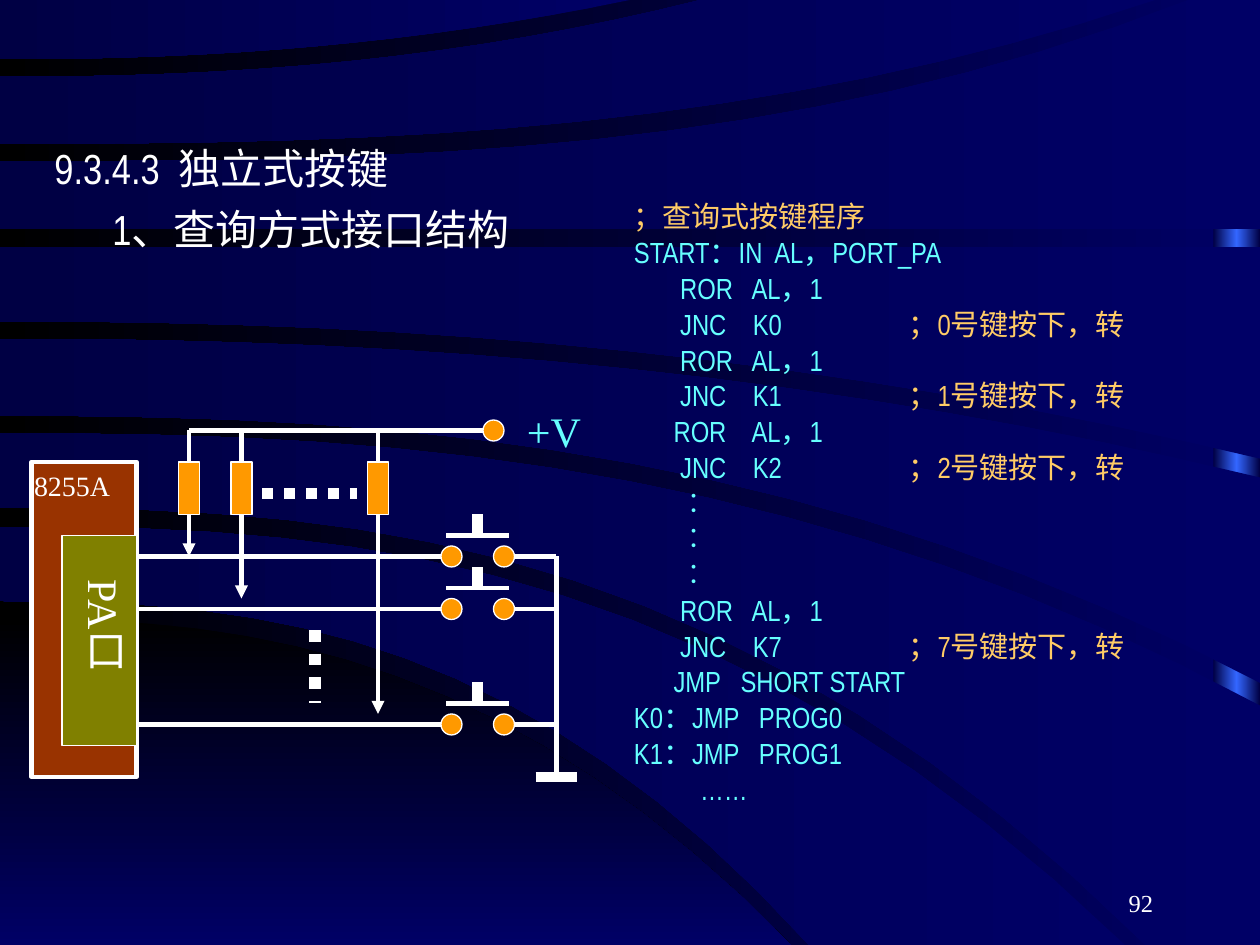
import copy
import dataclasses

import lxml.etree
import pptx
import pptx.dml.color
import pptx.enum.dml
import pptx.enum.shapes
import pptx.enum.text
import pptx.oxml.ns
import pptx.util

COLORS = {
    "navy": "000066", "deep": "000044", "black": "000000", "blue": "3366FF",
    "white": "FFFFFF", "orange": "FF9900", "brick": "993300",
    "olive": "808000", "gold": "FFCC66", "aqua": "66FFFF",
}
SHAPE = pptx.enum.shapes.MSO_SHAPE
ALIGN = pptx.enum.text.PP_ALIGN
ANCHOR = pptx.enum.text.MSO_ANCHOR
NARROW, SERIF = "Arial Narrow", "Times New Roman"
STEPS = 16

COMMENT = "；{}号键按下，转"
ROTATE = ("       ROR   AL，1", "")
PROGRAM = [
    ("", "；查询式按键程序"), ("START：IN  AL，PORT_PA", ""),
    ROTATE, ("       JNC    K0", COMMENT.format(0)),
    ROTATE, ("       JNC    K1", COMMENT.format(1)),
    ("      ROR    AL，1", ""), ("       JNC    K2", COMMENT.format(2)),
    *[("       ︰", "")] * 3,
    ROTATE, ("       JNC    K7", COMMENT.format(7)),
    ("      JMP   SHORT START", ""), ("K0：JMP   PROG0", ""),
    ("K1：JMP   PROG1", ""), ("          ……", ""),
]


@dataclasses.dataclass
class Edge:
    start: float
    reach: float
    end: float
    power: float = 1

    def points(self):
        shares = [step / STEPS for step in range(STEPS + 1)]
        return [(self.reach * share, self.start + (self.end - self.start) * share ** self.power)
                for share in shares]


POOL = (Edge(49.1, 62.8, 75, 2.5), Edge(75, 62.8, 75))
BANDS = [
    (Edge(41.8, 89.3, 75, 2.6), Edge(47.7, 64.2, 75, 2.6)),
    (Edge(34.4, 100, 56, 2.5), Edge(40.3, 90.9, 75, 2.6)),
    (Edge(26.9, 100, 37.9, 2.2), Edge(33, 100, 54.2, 2.5)),
    (Edge(19.6, 100, 19.6), Edge(25.5, 100, 36.4, 2.2)),
    (Edge(12.8, 94.3, 0, 2.9), Edge(18.2, 100, 18.2)),
    (Edge(6.1, 55.6, 0, 2.3), Edge(11.4, 91.7, 0, 2.7)),
    (Edge(0, 50, 0), Edge(4.7, 50, 0, 2.2)),
]


@dataclasses.dataclass
class Grid:
    left: float
    top: float
    column: float
    row: float

    def point(self, column, row):
        return round(self.left + column * self.column), round(self.top + row * self.row)

    def cell(self, column, row, width, height):
        return *self.point(column, row), round(width * self.column), round(height * self.row)

    def divide(self, cell, columns, rows):
        left, top, width, height = self.cell(*cell)
        return Grid(left, top, width / columns, height / rows)


def rgb(name):
    return pptx.dml.color.RGBColor.from_string(COLORS[name])


def shade(fill, first, last, angle):
    fill.gradient()
    fill.gradient_angle = angle
    for stop, name, position in zip(fill.gradient_stops, (first, last), (0, 1)):
        stop.color.rgb = rgb(name)
        stop.position = position


def add_block(page, place, color, kind=SHAPE.RECTANGLE, weight=0.75):
    block = page.shapes.add_shape(kind, *place)
    block.shadow.inherit = False
    block.fill.solid()
    block.fill.fore_color.rgb = rgb(color)
    block.line.color.rgb = rgb("white")
    block.line.width = pptx.util.Pt(weight)
    return block


def add_wire(page, grid, start, end, weight=2.5, dotted=False, arrow=False):
    wire = page.shapes.add_connector(pptx.enum.shapes.MSO_CONNECTOR.STRAIGHT,
                                     *grid.point(*start), *grid.point(*end))
    wire.line.color.rgb = rgb("white")
    wire.line.width = pptx.util.Pt(weight)
    if dotted:
        wire.line.dash_style = pptx.enum.dml.MSO_LINE.ROUND_DOT
    if arrow:
        outline = wire._element.spPr.find(pptx.oxml.ns.qn("a:ln"))
        lxml.etree.SubElement(outline, pptx.oxml.ns.qn("a:tailEnd"), type="triangle")
    lxml.etree.SubElement(wire._element.spPr, pptx.oxml.ns.qn("a:effectLst"))
    return wire


def add_span(para, text, size, font, color):
    span = para.add_run()
    span.text = text
    span.font.size = pptx.util.Pt(size)
    span.font.name = font
    span.font.color.rgb = rgb(color)


def set_frame(shape, insets=(0.1, 0.05, 0.1, 0.05), anchor=ANCHOR.TOP):
    frame = shape.text_frame
    frame.word_wrap = True
    frame.vertical_anchor = anchor
    sides = [pptx.util.Inches(inset) for inset in insets]
    frame.margin_left, frame.margin_top, frame.margin_right, frame.margin_bottom = sides
    frame.paragraphs[0].alignment = ALIGN.LEFT
    return frame


def indent(para, inches):
    para._p.get_or_add_pPr().set("marL", str(pptx.util.Inches(inches)))


def draw_band(page, grid, upper, lower):
    outline = upper.points()
    if upper.reach != lower.reach and upper.end != lower.end:
        outline.append((100, upper.end if upper.reach < lower.reach else lower.end))
    outline += reversed(lower.points())
    points = [grid.point(*point) for point in outline]
    builder = page.shapes.build_freeform(*points[0])
    builder.add_line_segments(points[1:], close=True)
    band = builder.convert_to_shape()
    band.shadow.inherit = False
    band.line.fill.background()
    return band


def draw_backdrop(page, grid):
    shade(page.background.fill, "navy", "black", 180)
    strip = add_block(page, grid.cell(96.3, 0, 3.7, 75), "deep")
    strip.line.fill.background()
    shade(strip.fill, "deep", "deep", 180)
    stops = strip._element.spPr.find(".//" + pptx.oxml.ns.qn("a:gsLst"))
    stops.insert(1, copy.deepcopy(stops[0]))
    middle = strip.fill.gradient_stops[1]
    middle.position = 0.5
    middle.color.rgb = rgb("blue")
    shade(draw_band(page, grid, *POOL).fill, "black", "navy", 270)
    for edges in BANDS:
        shade(draw_band(page, grid, *edges).fill, "navy", "deep", 180)


def write_heading(page, place):
    frame = set_frame(page.shapes.add_textbox(*place))
    add_span(frame.paragraphs[0], "9.3.4.3  独立式按键", 24, NARROW, "white")
    para = frame.add_paragraph()
    para.space_before = pptx.util.Pt(6)
    indent(para, 0.46)
    add_span(para, "1、查询方式接口结构", 24, NARROW, "white")


def write_program(page, place):
    frame = set_frame(page.shapes.add_textbox(*place))
    for number, (code, comment) in enumerate(PROGRAM):
        para = frame.add_paragraph() if number else frame.paragraphs[0]
        if code and comment:
            tabs = lxml.etree.SubElement(para._p.get_or_add_pPr(), pptx.oxml.ns.qn("a:tabLst"))
            lxml.etree.SubElement(tabs, pptx.oxml.ns.qn("a:tab"),
                                  pos=str(pptx.util.Inches(2.18)), algn="l")
            code += "\t"
        para.line_spacing = 0.8
        para.space_before = pptx.util.Pt(4.5 if number else 0)
        for text, color in ((code, "aqua"), (comment, "gold")):
            if text:
                add_span(para, text, 16.6, NARROW, color)


def draw_chip(page, grid):
    chip = add_block(page, grid.cell(0, 6, 10, 30), "brick", weight=2.5)
    frame = set_frame(chip, (0.02, 0.05, 0, 0.05))
    add_span(frame.paragraphs[0], "8255A", 16, SERIF, "white")
    port = add_block(page, grid.cell(2.9, 13, 7.1, 20), "olive")
    frame = set_frame(port, (0.05, 0.1, 0.05, 0.1))
    frame._txBody.bodyPr.set("vert", "eaVert")
    indent(frame.paragraphs[0], 0.25)
    add_span(frame.paragraphs[0], "PA口", 24, SERIF, "white")


def draw_switches(page, grid):
    for row in (15, 20, 31):
        add_wire(page, grid, (10, row), (39, row))
        for column in (39, 44):
            add_block(page, grid.cell(column, row - 1, 2, 2), "orange", SHAPE.OVAL)
        add_wire(page, grid, (46, row), (50, row))
        add_wire(page, grid, (39.5, row - 2), (45.5, row - 2))
        add_wire(page, grid, (42.5, row - 2), (42.5, row - 4), 6.25)
    add_wire(page, grid, (27, 22), (27, 29), 6.75, dotted=True)
    add_wire(page, grid, (50, 15), (50, 36))
    add_wire(page, grid, (48, 36), (52, 36), 6)


def draw_pullups(page, grid):
    for column, end in ((15, 15), (20, 19), (33, 30)):
        resistor = add_block(page, grid.cell(column - 1, 6, 2, 5), "orange")
        add_wire(page, grid, (column, 3), (column, 6)).end_connect(resistor, 0)
        add_wire(page, grid, (column, 11), (column, end), arrow=True).begin_connect(resistor, 2)
    add_wire(page, grid, (22, 9), (31, 9), 6.25, dotted=True)
    add_wire(page, grid, (15, 3), (43, 3))
    add_block(page, grid.cell(43, 2, 2, 2), "orange", SHAPE.OVAL)
    frame = set_frame(page.shapes.add_textbox(*grid.cell(46, 0, 8, 6)))
    add_span(frame.paragraphs[0], "+V", 24, SERIF, "aqua")


def write_number(page, place):
    frame = set_frame(page.shapes.add_textbox(*place), anchor=ANCHOR.BOTTOM)
    frame.paragraphs[0].alignment = ALIGN.RIGHT
    add_span(frame.paragraphs[0], "92", 14, SERIF, "white")


def main():
    deck = pptx.Presentation()
    deck.slide_width, deck.slide_height = pptx.util.Inches(10), pptx.util.Inches(7.5)
    page = deck.slides.add_slide(deck.slide_layouts[6])
    sheet = Grid(0, 0, deck.slide_width / 120, deck.slide_height / 90)
    circuit = sheet.divide((3, 38, 54, 36), 54, 36)
    draw_backdrop(page, sheet.divide((0, 0, 120, 90), 100, 75))
    write_heading(page, sheet.cell(4, 13, 53, 13))
    write_program(page, sheet.cell(59.2, 19, 53, 67))
    draw_chip(page, circuit)
    draw_switches(page, circuit)
    draw_pullups(page, circuit)
    write_number(page, sheet.cell(86, 82, 25, 6))
    deck.save("out.pptx")


if __name__ == "__main__":
    main()
